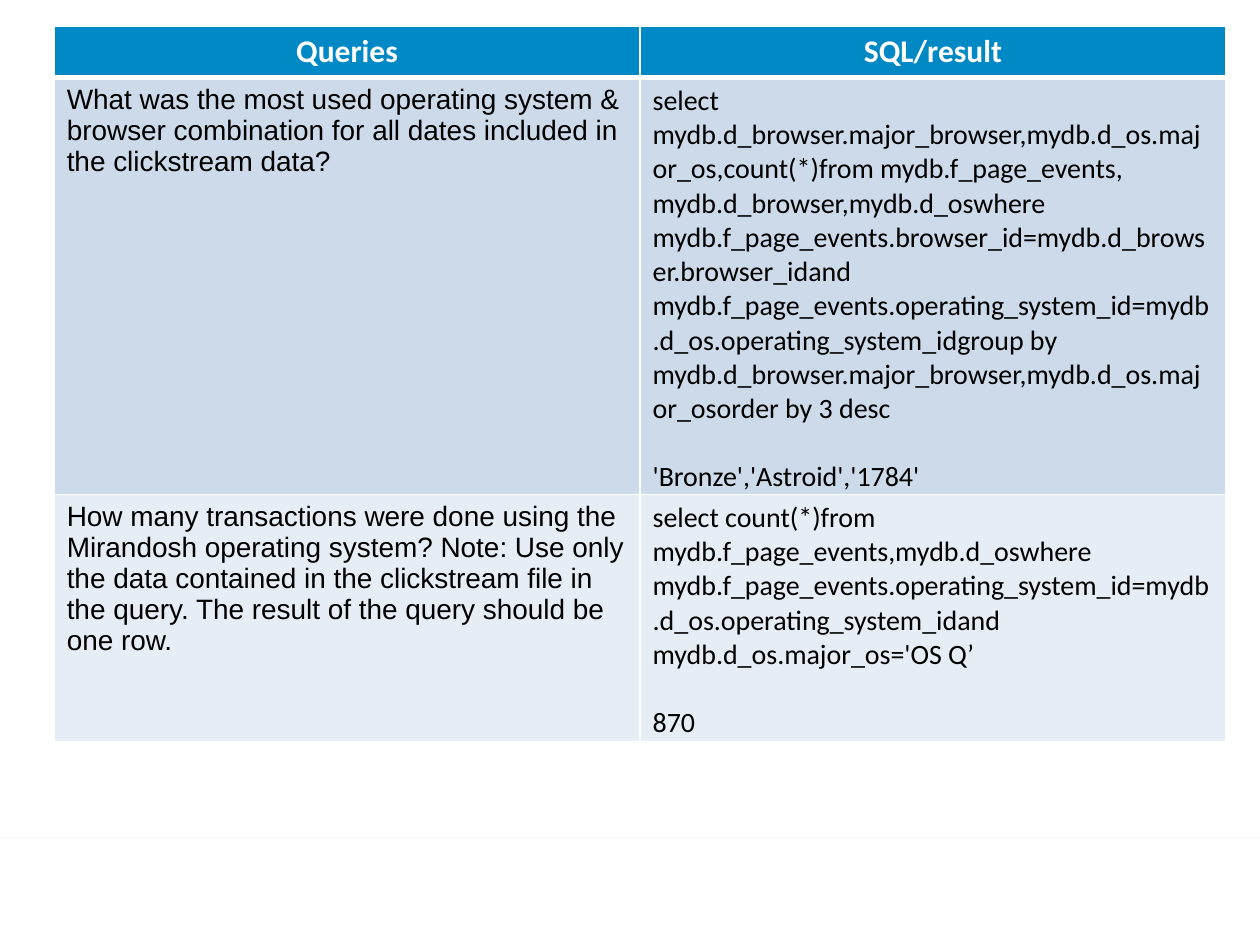
from lxml import etree
from pptx import Presentation
from pptx.dml.color import RGBColor
from pptx.enum.shapes import MSO_SHAPE
from pptx.enum.text import PP_ALIGN
from pptx.oxml import parse_xml
from pptx.oxml.ns import nsdecls, qn
from pptx.util import Inches, Pt

RECTANGLE = MSO_SHAPE.RECTANGLE
CENTER, LEFT = PP_ALIGN.CENTER, PP_ALIGN.LEFT

# Content: each cell is a list of paragraphs
HEADERS = ["Queries", "SQL/result"]
QUERIES = [
    (
        ["What was the most used operating system & browser combination for all dates "
         "included in the clickstream data?"],
        ["select mydb.d_browser.major_browser,mydb.d_os.major_os,count(*)from "
         "mydb.f_page_events, mydb.d_browser,mydb.d_oswhere "
         "mydb.f_page_events.browser_id=mydb.d_browser.browser_idand "
         "mydb.f_page_events.operating_system_id=mydb.d_os.operating_system_idgroup by "
         "mydb.d_browser.major_browser,mydb.d_os.major_osorder by 3 desc",
         "'Bronze','Astroid','1784'"],
    ),
    (
        ["How many transactions were done using the Mirandosh operating system? Note: "
         "Use only the data contained in the clickstream file in the query. The result "
         "of the query should be one row."],
        ["select count(*)from mydb.f_page_events,mydb.d_oswhere "
         "mydb.f_page_events.operating_system_id=mydb.d_os.operating_system_idand "
         "mydb.d_os.major_os='OS Q’",
         "870"],
    ),
]
COLUMN_WIDTH = 4.65
ROW_HEIGHTS = [0.4, 3.3, 1.96]
BODY_FONTS = ["Arial", "Calibri"]
BODY_FILLS = ["CCDAEA", "E7EDF5"]
RESULT_GAP = Pt(19.5)


def color(value):
    return RGBColor.from_string(value)


def set_borders(cell, bottom_width):
    properties = cell._tc.get_or_add_tcPr()
    widths = {"lnL": 1, "lnR": 1, "lnT": 1, "lnB": bottom_width}
    for position, (side, width) in enumerate(widths.items()):
        line = etree.Element(qn(f"a:{side}"), w=str(Pt(width)))
        fill = etree.SubElement(line, qn("a:solidFill"))
        etree.SubElement(fill, qn("a:srgbClr"), val="FFFFFF")
        properties.insert(position, line)


def fill_cell(cell, paragraphs, font_name, size, text_color, fill, bold=False,
              align=LEFT, bottom_border=1):
    cell.fill.solid()
    cell.fill.fore_color.rgb = color(fill)
    set_borders(cell, bottom_border)
    cell.text = "\n".join(paragraphs)
    for index, paragraph in enumerate(cell.text_frame.paragraphs):
        paragraph.alignment = align
        if index:
            paragraph.space_before = RESULT_GAP
        font = paragraph.font
        font.name, font.size, font.bold = font_name, Pt(size), bold
        font.color.rgb = color(text_color)


presentation = Presentation()
presentation.slide_width, presentation.slide_height = Inches(10), Inches(7.5)
slide = presentation.slides.add_slide(presentation.slide_layouts[6])

# Footer band with a soft shadow
band = slide.shapes.add_shape(RECTANGLE, 0, Inches(6.66), Inches(10), Inches(0.84))
band.fill.solid()
band.fill.fore_color.rgb = color("FFFFFF")
band.line.fill.background()
band.shadow.inherit = False
band._element.spPr.find(qn("a:effectLst")).append(parse_xml(
    f'<a:outerShdw {nsdecls("a")} blurRad="{Pt(3.1)}" dist="{Pt(1.8)}" dir="5400000">'
    '<a:srgbClr val="000000"><a:alpha val="35000"/></a:srgbClr></a:outerShdw>'))

# Query table
table = slide.shapes.add_table(
    len(ROW_HEIGHTS), len(HEADERS), Inches(0.43), Inches(0.21),
    Inches(COLUMN_WIDTH * len(HEADERS)), Inches(sum(ROW_HEIGHTS))).table
for column in table.columns:
    column.width = Inches(COLUMN_WIDTH)
for row, height in zip(table.rows, ROW_HEIGHTS):
    row.height = Inches(height)

for column_index, header in enumerate(HEADERS):
    fill_cell(table.cell(0, column_index), [header], "Calibri", 18, "FFFFFF", "0089C4",
              bold=True, align=CENTER, bottom_border=3)

for row_index, (contents, fill) in enumerate(zip(QUERIES, BODY_FILLS), start=1):
    for column_index, (paragraphs, font_name) in enumerate(zip(contents, BODY_FONTS)):
        cell = table.cell(row_index, column_index)
        fill_cell(cell, paragraphs, font_name, 16, "000000", fill)
        cell.margin_bottom = 0

presentation.save("out.pptx")
